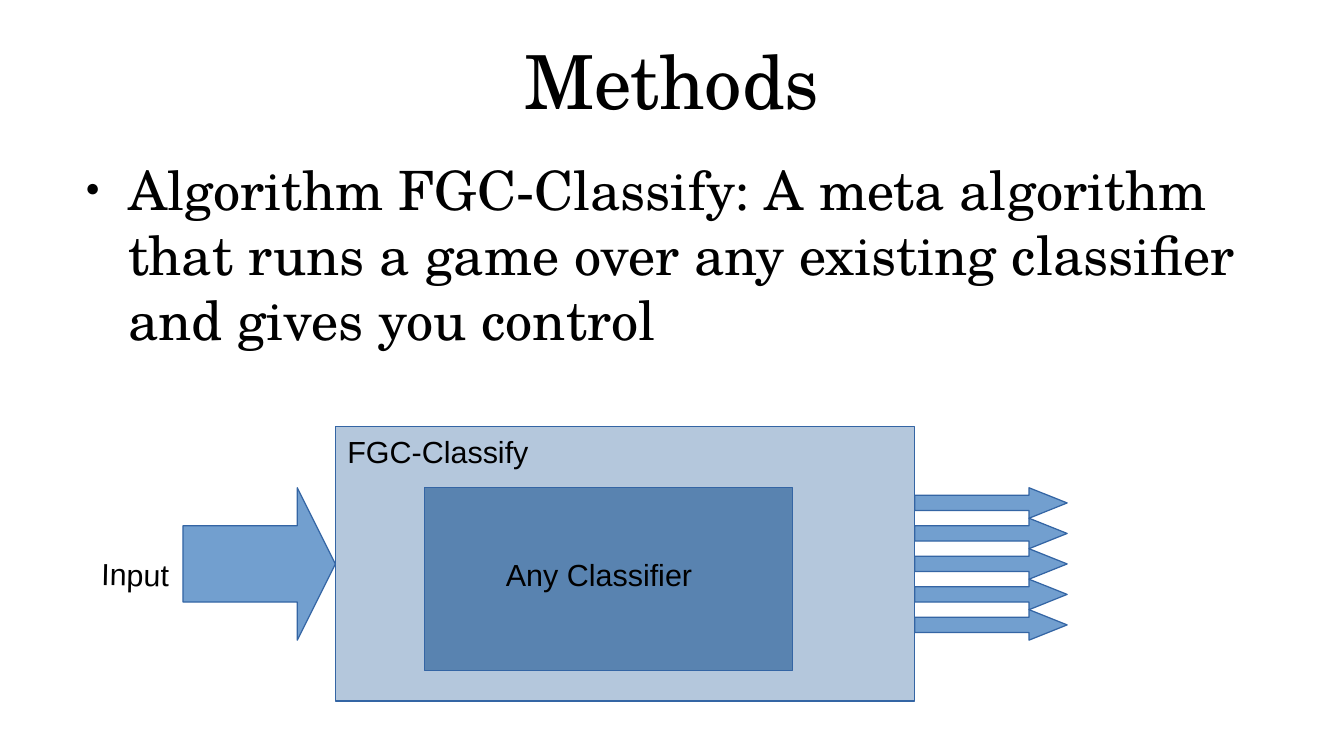
from dataclasses import dataclass

from lxml.etree import SubElement
from pptx import Presentation
from pptx.dml.color import RGBColor
from pptx.enum.shapes import MSO_SHAPE as Shape
from pptx.enum.text import MSO_ANCHOR as Anchor, MSO_AUTO_SIZE as AutoSize, PP_ALIGN as Align
from pptx.oxml.ns import qn
from pptx.util import Inches, Pt


@dataclass(frozen=True)
class Theme:
    """Hold the fonts, type sizes and colours of the slide."""
    serif: str = "TeX Gyre Schola"
    sans: str = "Arial"
    title_size: int = 44
    body_size: int = 32
    label_size: int = 18
    ink: str = "000000"
    outline: str = "3465A4"
    arrow: str = "729FCF"
    outer: str = "B4C7DC"
    inner: str = "5983B0"


THEME = Theme()


def style_font(para, name, size):
    """Set the typeface, size and ink colour of a paragraph."""
    para.font.name = name
    para.font.size = Pt(size)
    para.font.color.rgb = RGBColor.from_string(THEME.ink)


def fill_placeholder(holder, place, text, size, anchor):
    """Move a placeholder, write its text and return the paragraph."""
    holder.left, holder.top, holder.width, holder.height = map(Inches, place)
    frame = holder.text_frame
    frame.margin_left = frame.margin_top = frame.margin_right = frame.margin_bottom = 0
    frame.auto_size = AutoSize.NONE
    frame.word_wrap = True
    frame.vertical_anchor = anchor
    para = frame.paragraphs[0]
    para.text = text
    style_font(para, THEME.serif, size)
    return para


def add_bullet(para):
    """Give a paragraph a small round bullet and a hanging indent."""
    props = para._p.get_or_add_pPr()
    props.set("marL", str(Inches(0.47)))
    props.set("indent", str(Inches(-0.35)))
    colour = SubElement(props, qn("a:buClr"))
    SubElement(colour, qn("a:srgbClr"), val=THEME.ink)
    SubElement(props, qn("a:buSzPct"), val="45000")
    SubElement(props, qn("a:buFont"), typeface=THEME.sans)
    SubElement(props, qn("a:buChar"), char="●")


def add_block(page, kind, place, colour):
    """Add a filled shape with a hairline outline."""
    block = page.shapes.add_shape(kind, *map(Inches, place))
    block.shadow.inherit = False
    block.fill.solid()
    block.fill.fore_color.rgb = RGBColor.from_string(colour)
    block.line.color.rgb = RGBColor.from_string(THEME.outline)
    block.line.width = Pt(0)
    return block


def add_arrow(page, place, head):
    """Add a block arrow pointing right with the given head ratio."""
    arrow = add_block(page, Shape.RIGHT_ARROW, place, THEME.arrow)
    arrow.adjustments[0] = 0.5
    arrow.adjustments[1] = head


def add_label(page, place, text, rotation=0):
    """Add a diagram label."""
    box = page.shapes.add_textbox(*map(Inches, place))
    box.rotation = rotation
    box.text_frame.word_wrap = True
    para = box.text_frame.paragraphs[0]
    para.text = text
    style_font(para, THEME.sans, THEME.label_size)


def main():
    """Build the slide and save it."""
    deck = Presentation()
    deck.slide_width, deck.slide_height = Inches(11.02), Inches(6.2)
    page = deck.slides.add_slide(deck.slide_layouts[1])

    title = fill_placeholder(page.shapes.title, (0.55, 0.25, 9.92, 1.04),
                             "Methods", THEME.title_size, Anchor.MIDDLE)
    title.alignment = Align.CENTER
    title.line_spacing = 0.6

    body = fill_placeholder(
        page.placeholders[1], (0.58, 1.28, 9.92, 2.25),
        "Algorithm FGC-Classify: A meta algorithm that runs a game "
        "over any existing classifier and gives you control",
        THEME.body_size, Anchor.TOP)
    body.space_before = Pt(14.1)
    add_bullet(body)

    add_block(page, Shape.RECTANGLE, (2.75, 3.5, 4.75, 2.25), THEME.outer)
    add_block(page, Shape.RECTANGLE, (3.48, 4, 3.02, 1.5), THEME.inner)
    add_label(page, (2.75, 3.5, 2.18, 0.66), "FGC-Classify")
    add_label(page, (4.05, 4.51, 1.94, 0.49), "Any Classifier")

    add_arrow(page, (1.5, 4, 1.25, 1.25), 0.25)
    add_label(page, (0.73, 4.51, 0.76, 0.66), "Input", rotation=1.3)
    for row in range(5):
        add_arrow(page, (7.5, 4 + row * 0.25, 1.25, 0.25), 1.25)

    deck.save("out.pptx")


if __name__ == "__main__":
    main()
